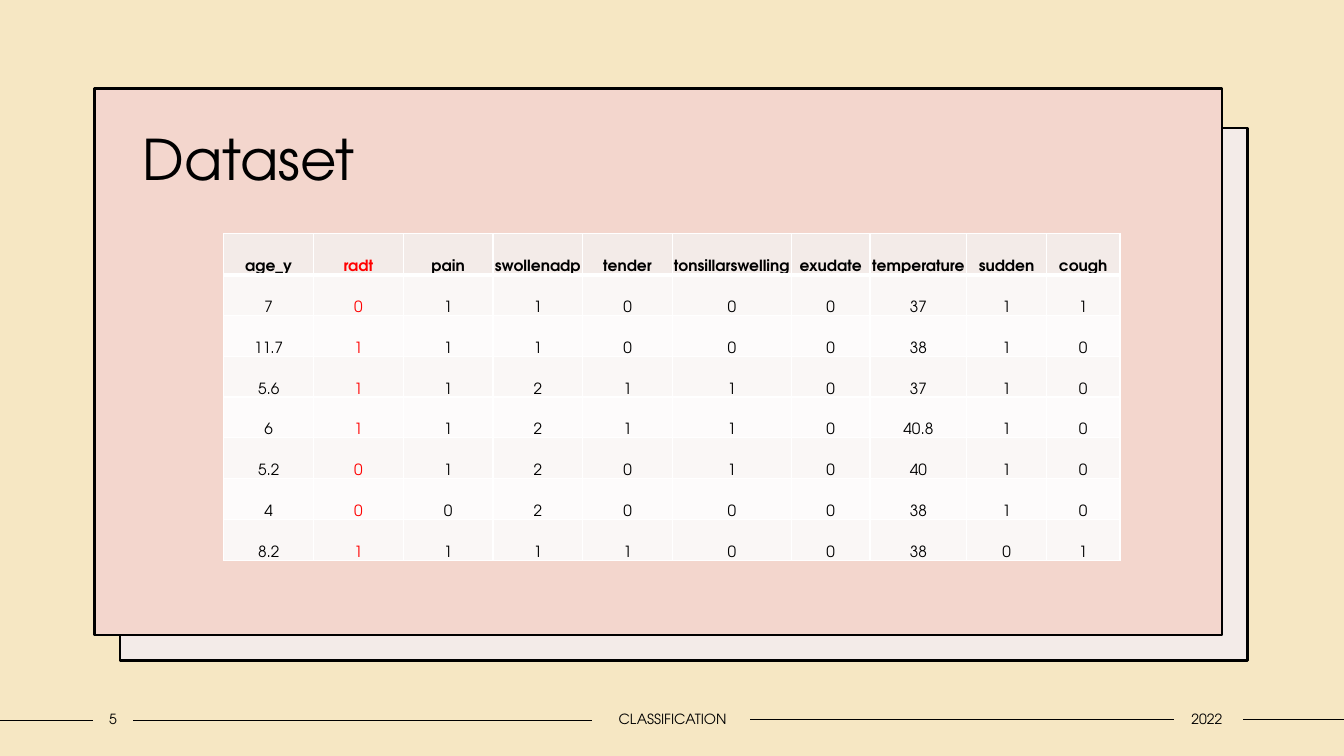
from lxml import etree
from pptx import Presentation
from pptx.dml.color import RGBColor
from pptx.enum.shapes import MSO_CONNECTOR, MSO_SHAPE
from pptx.enum.text import MSO_ANCHOR, PP_ALIGN
from pptx.oxml.ns import qn
from pptx.util import Inches, Pt

STRAIGHT = MSO_CONNECTOR.STRAIGHT
RECTANGLE = MSO_SHAPE.RECTANGLE
MIDDLE, BOTTOM = MSO_ANCHOR.MIDDLE, MSO_ANCHOR.BOTTOM
LEFT, CENTER = PP_ALIGN.LEFT, PP_ALIGN.CENTER
FONT = "TeX Gyre Adventor"
BLACK, RED, WHITE = "000000", "FF0000", "FFFFFF"
CREAM, PINK, BLUSH = "F6E7C3", "F3D6CD", "F3EBE8"
ROW_FILLS = ["FDFBFB", "FAF7F6"]


def color(value):
    return RGBColor.from_string(value)


def write(frame, text, size, hue=BLACK, bold=False, align=CENTER, spacing=1.0):
    paragraph = frame.paragraphs[0]
    paragraph.alignment = align
    paragraph.line_spacing = spacing
    run = paragraph.add_run()
    run.text = text
    run.font.name = FONT
    run.font.size = Pt(size)
    run.font.bold = bold
    run.font.color.rgb = color(hue)


prs = Presentation()
prs.slide_width, prs.slide_height = Inches(13.33), Inches(7.5)
slide = prs.slides.add_slide(prs.slide_layouts[6])
slide.background.fill.solid()
slide.background.fill.fore_color.rgb = color(CREAM)

for start, end, y in [(0, 0.92, 7.15), (1.32, 5.87, 7.15), (7.44, 11.64, 7.14), (12.33, 13.33, 7.14)]:
    rule = slide.shapes.add_connector(STRAIGHT, Inches(start), Inches(y), Inches(end), Inches(y))
    rule.line.color.rgb = color(BLACK)
    rule.line.width = Pt(1)
    etree.SubElement(rule._element.spPr, qn("a:effectLst"))

for left, top, height, fill in [(1.19, 1.27, 5.28, BLUSH), (0.94, 0.88, 5.42, PINK)]:
    panel = slide.shapes.add_shape(RECTANGLE, Inches(left), Inches(top), Inches(11.18), Inches(height))
    panel.shadow.inherit = False
    panel.fill.solid()
    panel.fill.fore_color.rgb = color(fill)
    panel.line.color.rgb = color(BLACK)
    panel.line.width = Pt(2)

for text, left, width in [("2022", 11.62, 0.7), ("CLASSIFICATION", 5.87, 1.6), ("5", 0.92, 0.4)]:
    footer = slide.shapes.add_textbox(Inches(left), Inches(7), Inches(width), Inches(0.27)).text_frame
    footer.word_wrap = True
    footer.vertical_anchor = MIDDLE
    footer.margin_left = footer.margin_right = 0
    write(footer, text, size=10)

title = slide.shapes.add_textbox(Inches(1.32), Inches(1.29), Inches(4.36), Inches(0.65)).text_frame
title.word_wrap = True
title.vertical_anchor = MIDDLE
write(title, "Dataset", size=40, align=LEFT, spacing=0.9)

records = [
    ["age_y", "radt", "pain", "swollenadp", "tender", "tonsillarswelling",
     "exudate", "temperature", "sudden", "cough"],
    ["7", "0", "1", "1", "0", "0", "0", "37", "1", "1"],
    ["11.7", "1", "1", "1", "0", "0", "0", "38", "1", "0"],
    ["5.6", "1", "1", "2", "1", "1", "0", "37", "1", "0"],
    ["6", "1", "1", "2", "1", "1", "0", "40.8", "1", "0"],
    ["5.2", "0", "1", "2", "0", "1", "0", "40", "1", "0"],
    ["4", "0", "0", "2", "0", "0", "0", "38", "1", "0"],
    ["8.2", "1", "1", "1", "1", "0", "0", "38", "0", "1"],
]
column_widths = [0.89] * 5 + [1.18, 0.78, 0.96, 0.79, 0.73]
dataset = slide.shapes.add_table(len(records), len(column_widths), Inches(2.22), Inches(2.32),
                                 Inches(8.89), Inches(3.24)).table
for column, width in zip(dataset.columns, column_widths):
    column.width = Inches(width)

for r, record in enumerate(records):
    for c, value in enumerate(record):
        cell = dataset.cell(r, c)
        cell.vertical_anchor = BOTTOM
        cell.margin_left = cell.margin_right = cell.margin_top = Inches(0.01)
        cell.margin_bottom = 0
        write(cell.text_frame, value, size=11, hue=RED if c == 1 else BLACK, bold=r == 0)
        for side in ("lnL", "lnR", "lnT", "lnB"):
            under_header = (r, side) in [(0, "lnB"), (1, "lnT")]
            border = etree.SubElement(cell._tc.get_or_add_tcPr(), qn(f"a:{side}"),
                                      w=str(Pt(3 if under_header else 1)))
            stroke = etree.SubElement(border, qn("a:solidFill"))
            etree.SubElement(stroke, qn("a:srgbClr"), val=WHITE)
        cell.fill.solid()
        cell.fill.fore_color.rgb = color(BLUSH if r == 0 else ROW_FILLS[r % 2])

prs.save("out.pptx")
